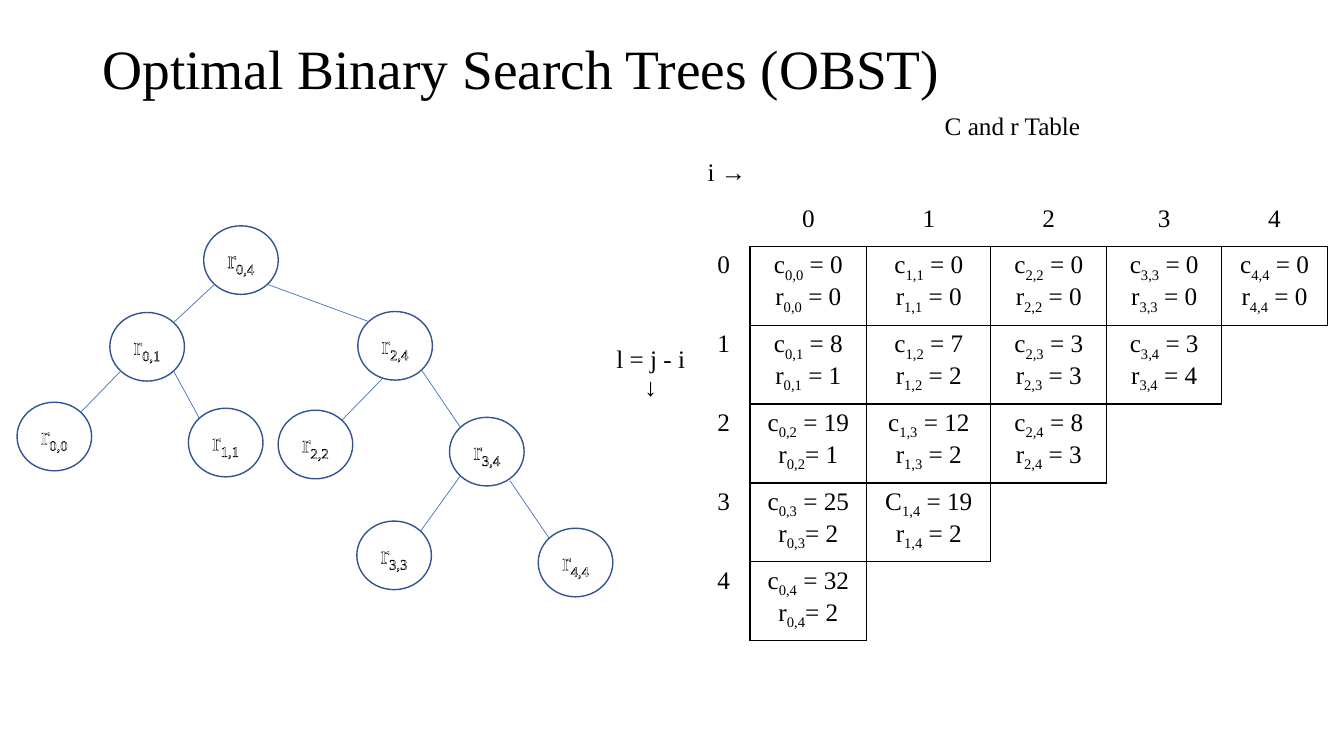
"""Build the optimal binary search tree slide with its tree and C and r table."""
from lxml.etree import SubElement
from pptx import Presentation
from pptx.dml.color import RGBColor
from pptx.enum.shapes import MSO_CONNECTOR as CONN, MSO_SHAPE as SHAPE
from pptx.enum.text import MSO_ANCHOR as ANCHOR, PP_ALIGN as ALIGN
from pptx.oxml import parse_xml
from pptx.oxml.ns import nsdecls, qn
from pptx.util import Pt


def rgb(hex_color):
    return RGBColor.from_string(hex_color)


def add_run(p, text, size=18, color="000000", sub=False):
    r = p.add_run()
    r.text = text
    r.font.size = Pt(size)
    r.font.name = "Times New Roman"
    r.font.color.rgb = rgb(color)
    if sub:
        r._r.get_or_add_rPr().set("baseline", "-25000")
    return r


prs = Presentation()
prs.slide_width, prs.slide_height = Pt(960), Pt(540)
s = prs.slides.add_slide(prs.slide_layouts[6])

tf = s.shapes.add_textbox(Pt(66), Pt(28.8), Pt(828), Pt(44)).text_frame
tf.word_wrap = True
tf.vertical_anchor = ANCHOR.MIDDLE
p = tf.paragraphs[0]
p.line_spacing = 0.9
add_run(p, "Optimal Binary Search Trees (OBST)", 39.6)

col_widths = [67, 37.4, 83.5, 88.6, 82.8, 82.1, 75.6]
row_heights = [33] * 3 + [52.7] * 5
frame = s.shapes.add_table(8, 7, Pt(431.3), Pt(77), Pt(sum(col_widths)), Pt(sum(row_heights)))
table = frame.table
table.first_row = table.horz_banding = False
table._tbl.tblPr.find(qn("a:tableStyleId")).text = "{2D5ABB26-0587-4C30-8999-92F81FD0307C}"
for column, width in zip(table.columns, col_widths):
    column.width = Pt(width)
for row, height in zip(table.rows, row_heights):
    row.height = Pt(height)
for cell in table.iter_cells():
    cell.fill.background()

table.cell(0, 0).merge(table.cell(7, 0))
table.cell(0, 1).merge(table.cell(0, 6))
table.cell(1, 1).merge(table.cell(1, 2))
table.cell(0, 0).vertical_anchor = ANCHOR.MIDDLE

labels = [(0, 0, "l = j - i"), (0, 1, "C and r Table"), (1, 1, "i →")]
for n in range(5):
    labels += [(2, n + 2, str(n)), (n + 3, 1, str(n))]
for row, col, text in labels:
    p = table.cell(row, col).text_frame.paragraphs[0]
    p.alignment = ALIGN.LEFT if row == 1 else ALIGN.CENTER
    add_run(p, text)
p = table.cell(0, 0).text_frame.add_paragraph()
p.alignment = ALIGN.CENTER
add_run(p, "↓")

costs = [[0, 0, 0, 0, 0], [8, 7, 3, 3], [19, 12, 8], [25, 19], [32]]
roots = [[0, 0, 0, 0, 0], [1, 2, 3, 4], [1, 2, 3], [2, 2], [2]]
for l in range(5):
    for i in range(5 - l):
        cell = table.cell(l + 3, i + 2)
        tf = cell.text_frame
        cost_name = "C" if (l, i) == (3, 1) else "c"
        root_equals = "= " if i == 0 and l > 1 else " = "
        lines = [(tf.paragraphs[0], cost_name, " = ", costs[l][i]),
                 (tf.add_paragraph(), "r", root_equals, roots[l][i])]
        for p, name, equals, value in lines:
            p.alignment = ALIGN.CENTER
            add_run(p, name)
            add_run(p, f"{i},{i + l}", sub=True)
            add_run(p, f"{equals}{value}")
        tcPr = cell._tc.get_or_add_tcPr()
        for pos, side in enumerate(("lnL", "lnR", "lnT", "lnB")):
            tcPr.insert(pos, parse_xml(
                f'<a:{side} {nsdecls("a")} w="12700"><a:solidFill>'
                f'<a:srgbClr val="000000"/></a:solidFill></a:{side}>'))

node_w, node_h = 53.3, 49
inset_x, inset_y = 7.8, 7.2
nodes = {
    "0,4": (145.5, 161.3), "0,1": (78.5, 223.2), "2,4": (255.6, 222.5),
    "0,0": (12.2, 287.3), "1,1": (134.6, 291.6), "2,2": (198.7, 293),
    "3,4": (321.1, 298.1), "3,3": (254.9, 372.2), "4,4": (384.5, 377.3),
}
for key, (x, y) in nodes.items():
    sp = s.shapes.add_shape(SHAPE.OVAL, Pt(x), Pt(y), Pt(node_w), Pt(node_h))
    sp.shadow.inherit = False
    sp.fill.solid()
    sp.fill.fore_color.rgb = rgb("FFFFFF")
    sp.line.color.rgb = rgb("325491")
    sp.line.width = Pt(1)
    tf = sp.text_frame
    tf.vertical_anchor = ANCHOR.MIDDLE
    p = tf.paragraphs[0]
    p.alignment = ALIGN.CENTER
    for text, sub in (("r", False), (key, True)):
        r = add_run(p, text, color="FFFFFF", sub=sub)
        r._r.get_or_add_rPr().insert(0, parse_xml(
            f'<a:ln {nsdecls("a")} w="9525"><a:solidFill>'
            '<a:srgbClr val="000000"/></a:solidFill></a:ln>'))

left, right = inset_x, node_w - inset_x
bottom = node_h - inset_y
branches = [
    ("0,4", "0,1", left, bottom), ("0,4", "2,4", right, bottom),
    ("0,1", "0,0", left, bottom), ("0,1", "1,1", right, bottom),
    ("2,4", "2,2", 17.3, 48.2), ("2,4", "3,4", right, bottom),
    ("3,4", "3,3", left, bottom), ("3,4", "4,4", 43.2, 45.3),
]
for parent, child, dx, dy in branches:
    px, py = nodes[parent]
    cx, cy = nodes[child]
    end_x = cx + (right if cx < px else left)
    line = s.shapes.add_connector(CONN.STRAIGHT, Pt(px + dx), Pt(py + dy),
                                  Pt(end_x), Pt(cy + inset_y))
    line.line.color.rgb = rgb("4472C4")
    line.line.width = Pt(0.5)
    SubElement(line._element.spPr, qn("a:effectLst"))

prs.save("out.pptx")
